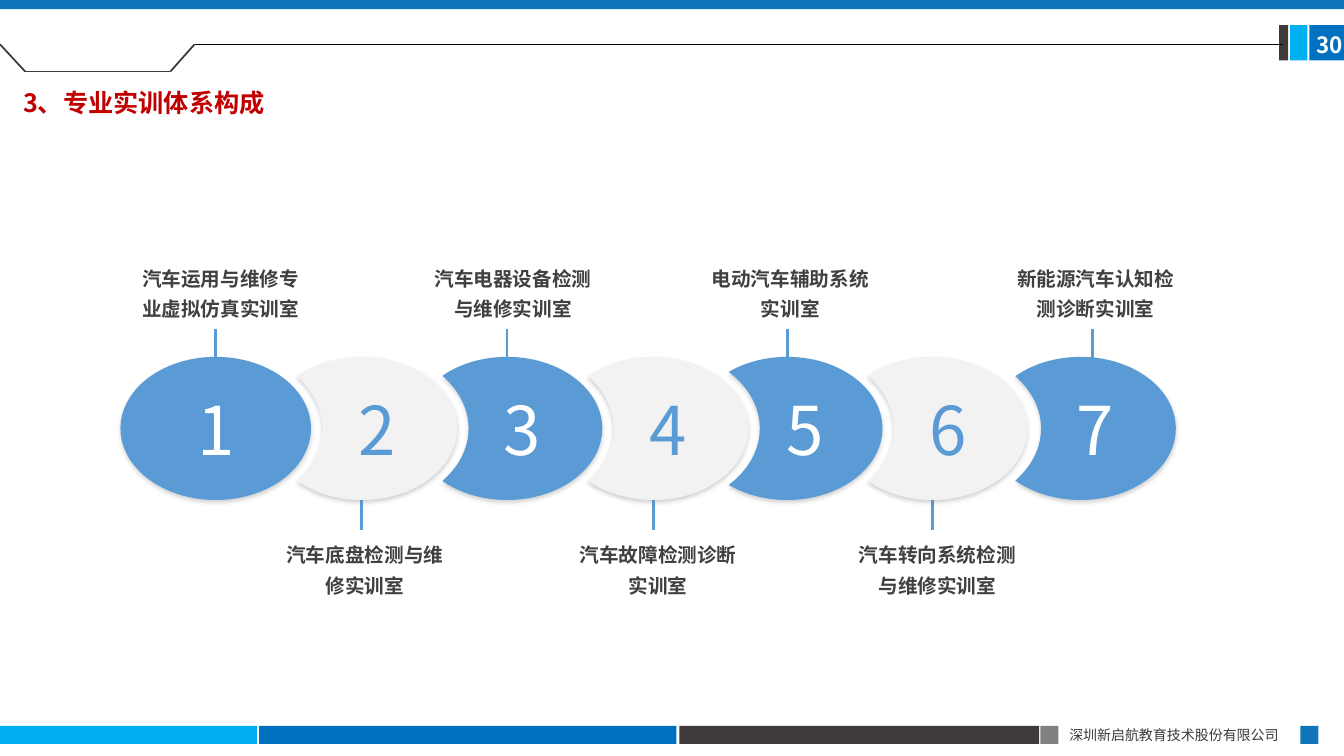
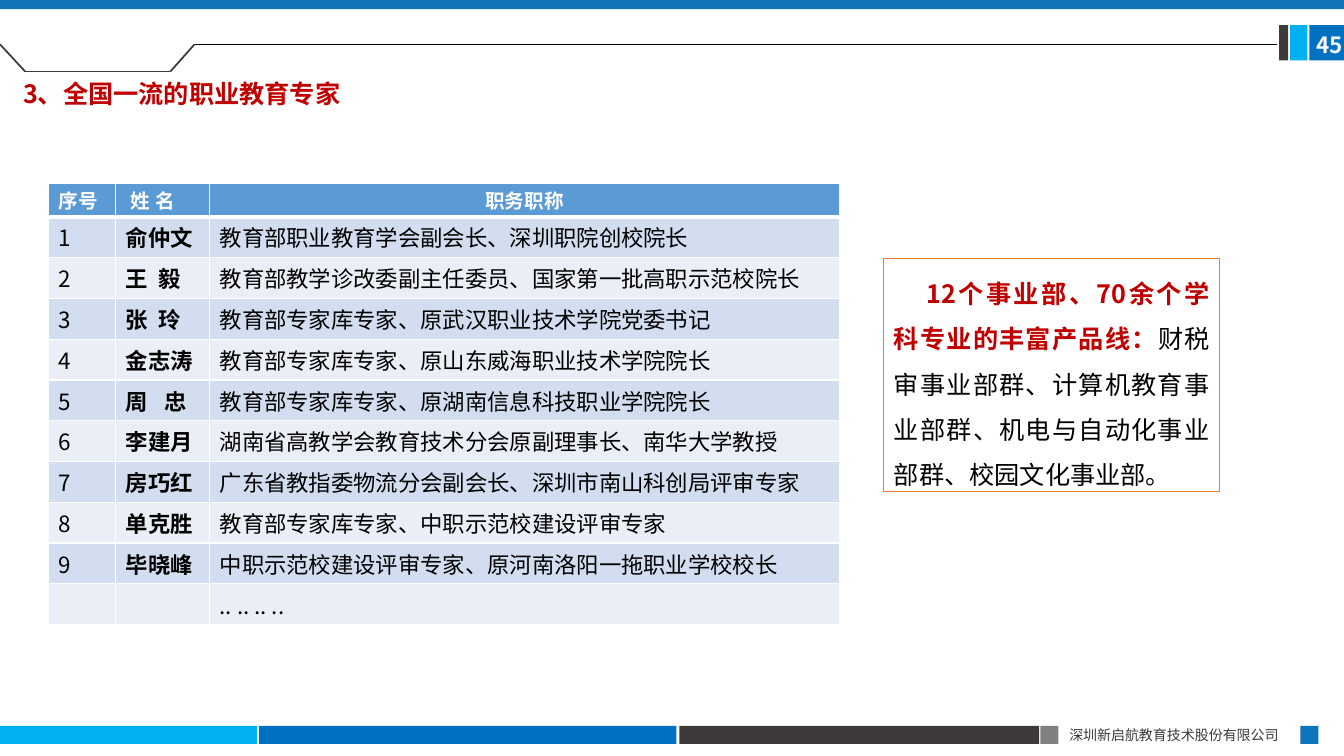
import math

from lxml import etree
from pptx import Presentation
from pptx.dml.color import RGBColor
from pptx.enum import shapes, text
from pptx.oxml import ns
from pptx.util import Inches, Pt

FONT = "Noto Sans CJK SC"
COLORS = {
    "cyan": "00B0F0", "blue": "0070C0", "band": "1074BB", "dark": "3E3A39",
    "gray": "808080", "white": "FFFFFF", "black": "000000", "red": "C00000",
    "accent": "5B9BD5", "pale": "F2F2F2", "label": "404040",
    "row_odd": "D2DEEF", "row_even": "EAEFF7", "orange": "ED7D31",
}
SLIDE_WIDTH = 40 / 3
ORGANISATION = "深圳新启航教育技术股份有限公司"
RX, RY = 0.945, 0.71
NOTCH_SCALE = 1.12
MAX_GAP = 1.45
CENTER_Y = 4.25
LABS = [
    (2.14, 2.14, 1.22, "汽车运用与维修专业虚拟仿真实训室"),
    (3.59, 3.59, 2.65, "汽车底盘检测与维修实训室"),
    (5.03, 5.03, 4.12, "汽车电器设备检测与维修实训室"),
    (6.48, 6.48, 5.56, "汽车故障检测诊断实训室"),
    (7.81, 7.81, 6.87, "电动汽车辅助系统实训室"),
    (9.25, 9.25, 8.33, "汽车转向系统检测与维修实训室"),
    (10.72, 10.84, 9.9, "新能源汽车认知检测诊断实训室"),
]
HEADERS = ["序号", "姓 名", "职务职称"]
EXPERTS = [
    ("俞仲文", "教育部职业教育学会副会长、深圳职院创校院长"),
    ("王 毅", "教育部教学诊改委副主任委员、国家第一批高职示范校院长"),
    ("张 玲", "教育部专家库专家、原武汉职业技术学院党委书记"),
    ("金志涛", "教育部专家库专家、原山东威海职业技术学院院长"),
    ("周 忠", "教育部专家库专家、原湖南信息科技职业学院院长"),
    ("李建月", "湖南省高教学会教育技术分会原副理事长、南华大学教授"),
    ("房巧红", "广东省教指委物流分会副会长、深圳市南山科创局评审专家"),
    ("单克胜", "教育部专家库专家、中职示范校建设评审专家"),
    ("毕晓峰", "中职示范校建设评审专家、原河南洛阳一拖职业学校校长"),
]
NAME_TRACKING = {"王 毅": 2, "张 玲": 2, "周 忠": 4}


def rgb(name):
    return RGBColor.from_string(COLORS[name])


def add_run(p, words, size, color, bold=False):
    r = p.add_run()
    r.text = words
    r.font.name = FONT
    r.font.size = Pt(size)
    r.font.bold = bold
    r.font.color.rgb = rgb(color)
    ea = etree.SubElement(r.font._element, ns.qn("a:ea"))
    ea.set("typeface", FONT)
    return r


def add_text(s, box, words, size, color, bold=False, align=text.PP_ALIGN.LEFT,
             anchor=text.MSO_ANCHOR.TOP, spacing=None):
    sp = s.shapes.add_textbox(*map(Inches, box))
    tf = sp.text_frame
    tf.word_wrap = True
    tf.vertical_anchor = anchor
    p = tf.paragraphs[0]
    p.alignment = align
    if spacing:
        p.line_spacing = spacing
    add_run(p, words, size, color, bold)
    return sp


def paint(sp, color):
    sp.shadow.inherit = False
    sp.fill.solid()
    sp.fill.fore_color.rgb = rgb(color)
    sp.line.fill.background()


def add_bar(s, box, color):
    sp = s.shapes.add_shape(shapes.MSO_SHAPE.RECTANGLE, *map(Inches, box))
    paint(sp, color)
    return sp


def add_line(s, start, end, color, width):
    line = s.shapes.add_connector(
        shapes.MSO_CONNECTOR.STRAIGHT, *map(Inches, start + end))
    line.line.color.rgb = rgb(color)
    line.line.width = Pt(width)
    etree.SubElement(line._element.spPr, ns.qn("a:effectLst"))
    return line


def add_header(s, number, rule_end):
    add_bar(s, (0, 0, SLIDE_WIDTH, 0.09), "band")
    for left, width, color in [(12.99, SLIDE_WIDTH - 12.99, "blue"),
                               (12.8, 0.17, "cyan"), (12.69, 0.09, "dark")]:
        add_bar(s, (left, 0.25, width, 0.35), color)
    tab = [(0, 0.44), (0.25, 0.71), (1.69, 0.71), (1.93, 0.44)]
    for start, end in zip(tab, tab[1:]):
        add_line(s, start, end, "dark", 1.25)
    add_line(s, tab[-1], (rule_end, 0.44), "black", 0.5)
    add_text(s, (12.96, 0.26, 0.5, 0.37), number, 16, "white", True)


def add_footer(s):
    for left, width, color in [(0, 2.55, "cyan"), (2.57, 4.14, "blue"),
                               (6.74, 3.57, "dark"), (10.32, 0.18, "gray"),
                               (12.9, 0.18, "band")]:
        add_bar(s, (left, 7.2, width, 0.18), color)
    add_text(s, (10.51, 7.16, 2.4, 0.27), ORGANISATION, 10, "dark",
             align=text.PP_ALIGN.JUSTIFY)


def add_base(prs, number, rule_end, title, title_top, spacing=None):
    s = prs.slides.add_slide(prs.slide_layouts[6])
    add_footer(s)
    add_header(s, number, rule_end)
    add_text(s, (0.13, title_top, 4.28, 0.4), title, 18, "red", True,
             spacing=spacing)
    return s


def add_soft_shadow(sp):
    effects = sp._element.spPr.find(ns.qn("a:effectLst"))
    shadow = etree.SubElement(effects, ns.qn("a:outerShdw"))
    for key, value in [("blurRad", Pt(3.1)), ("dist", Pt(1.8)),
                       ("dir", 90 * 60000), ("algn", "t"), ("rotWithShape", 0)]:
        shadow.set(key, str(value))
    color = etree.SubElement(shadow, ns.qn("a:srgbClr"))
    color.set("val", COLORS["gray"])
    etree.SubElement(color, ns.qn("a:alpha")).set("val", "35000")


def arc_controls(cx, scale, angles):
    points = []
    for a, b in zip(angles, angles[1:]):
        k = 4 / 3 * math.tan((b - a) / 4)
        units = [(math.cos(a) - k * math.sin(a), math.sin(a) + k * math.cos(a)),
                 (math.cos(b) + k * math.sin(b), math.sin(b) - k * math.cos(b)),
                 (math.cos(b), math.sin(b))]
        points += [(Inches(cx + scale * RX * x), Inches(CENTER_Y + scale * RY * y))
                   for x, y in units]
    return points


def bend_segments(sp):
    segments = list(sp._element.iter(ns.qn("a:lnTo")))
    for i in range(0, len(segments), 3):
        curve = etree.Element(ns.qn("a:cubicBezTo"))
        segments[i].addprevious(curve)
        for segment in segments[i:i + 3]:
            curve.append(segment[0])
            segment.getparent().remove(segment)


def add_crescent(s, cx, gap):
    d = gap / RX
    tip_x = (NOTCH_SCALE ** 2 - 1 - d ** 2) / (2 * d)
    tip = math.acos(tip_x)
    inner = math.acos((tip_x + d) / NOTCH_SCALE)
    quarter = math.pi / 2
    points = arc_controls(cx, 1, [-tip, -quarter, 0, quarter, tip])
    points += arc_controls(cx - gap, NOTCH_SCALE, [inner, 0, -inner])
    builder = s.shapes.build_freeform(*points[-1], scale=1.0)
    builder.add_line_segments(points, close=True)
    sp = builder.convert_to_shape()
    bend_segments(sp)
    return sp


def add_lab_disc(s, index):
    cx = LABS[index][0]
    if index == 0:
        sp = s.shapes.add_shape(
            shapes.MSO_SHAPE.OVAL, Inches(cx - RX), Inches(CENTER_Y - RY),
            Inches(2 * RX), Inches(2 * RY))
    else:
        sp = add_crescent(s, cx, min(cx - LABS[index - 1][0], MAX_GAP))
    fill, ink = ("pale", "accent") if index % 2 else ("accent", "white")
    paint(sp, fill)
    add_soft_shadow(sp)
    tf = sp.text_frame
    tf.vertical_anchor = text.MSO_ANCHOR.MIDDLE
    p = tf.paragraphs[0]
    p.alignment = text.PP_ALIGN.CENTER
    add_run(p, str(index + 1), 48, ink)


def build_labs(prs):
    s = add_base(prs, "30", 12.73, "3、专业实训体系构成", 0.67, 1.5)
    for index, (_, stem, left, name) in enumerate(LABS):
        below = index % 2
        start, end = (5.26, 4.81) if below else (3.71, 3.26)
        add_line(s, (stem, start), (stem, end), "accent", 2)
        add_text(s, (left, 5.27 if below else 1.78, 1.94, 1.45), name,
                 14, "label", True, text.PP_ALIGN.CENTER,
                 text.MSO_ANCHOR.TOP if below else text.MSO_ANCHOR.BOTTOM, 1.3)
    for index in range(len(LABS)):
        add_lab_disc(s, index)


def fill_cell(cell, words, fill, size, color, bold):
    cell.fill.solid()
    cell.fill.fore_color.rgb = rgb(fill)
    cell.margin_top = cell.margin_bottom = Inches(0.02)
    cell.vertical_anchor = text.MSO_ANCHOR.MIDDLE
    p = cell.text_frame.paragraphs[0]
    if words:
        r = add_run(p, words, size, color, bold)
        if words in NAME_TRACKING:
            r.font._element.set("spc", str(NAME_TRACKING[words] * 100))
    else:
        p.font.size = Pt(size)
    return p


def underline_header(cell):
    line = etree.Element(ns.qn("a:lnB"), w=str(Pt(3)))
    fill = etree.SubElement(line, ns.qn("a:solidFill"))
    etree.SubElement(fill, ns.qn("a:srgbClr")).set("val", COLORS["white"])
    cell._tc.get_or_add_tcPr().insert(0, line)


def add_expert_table(s, left, top):
    rows = [(str(n), *expert) for n, expert in enumerate(EXPERTS, 1)]
    rows.append(("", "", ".. .. .. .."))
    widths = [0.67, 0.93, 6.25]
    header, body = 0.33, 4.05
    table = s.shapes.add_table(
        len(rows) + 1, len(widths), Inches(left), Inches(top),
        Inches(sum(widths)), Inches(header + body)).table
    for column, width in zip(table.columns, widths):
        column.width = Inches(width)
    table.rows[0].height = Inches(header)
    for c, words in enumerate(HEADERS):
        p = fill_cell(table.cell(0, c), words, "accent", 14, "white", True)
        underline_header(table.cell(0, c))
    p.alignment = text.PP_ALIGN.CENTER
    table.cell(0, 1).margin_left = Inches(0.15)
    for n, row in enumerate(rows, 1):
        table.rows[n].height = Inches(body / len(rows))
        fill = "row_odd" if n % 2 else "row_even"
        for c, words in enumerate(row):
            fill_cell(table.cell(n, c), words, fill, 16, "black", c == 1)


def add_product_box(s, box):
    sp = s.shapes.add_shape(shapes.MSO_SHAPE.RECTANGLE, *map(Inches, box))
    sp.shadow.inherit = False
    sp.fill.background()
    sp.line.color.rgb = rgb("orange")
    sp.line.width = Pt(0.75)
    tf = sp.text_frame
    tf.word_wrap = True
    tf.vertical_anchor = text.MSO_ANCHOR.TOP
    p = tf.paragraphs[0]
    p.alignment = text.PP_ALIGN.JUSTIFY
    p.line_spacing = 1.5
    p._p.get_or_add_pPr().set("indent", str(Inches(0.32)))
    add_run(p, "12个事业部、70余个学科专业的丰富产品线：", 18, "red", True)
    add_run(p, "财税审事业部群、计算机教育事业部群、机电与自动化事业部群、"
               "校园文化事业部。", 18, "black")


def build_experts(prs):
    s = add_base(prs, "45", 12.67, "3、全国一流的职业教育专家", 0.73)
    add_expert_table(s, 0.48, 1.82)
    add_product_box(s, (8.77, 2.56, 3.33, 2.32))


def main():
    prs = Presentation()
    prs.slide_width = Inches(SLIDE_WIDTH)
    prs.slide_height = Inches(7.5)
    build_labs(prs)
    build_experts(prs)
    prs.save("out.pptx")


if __name__ == "__main__":
    main()
